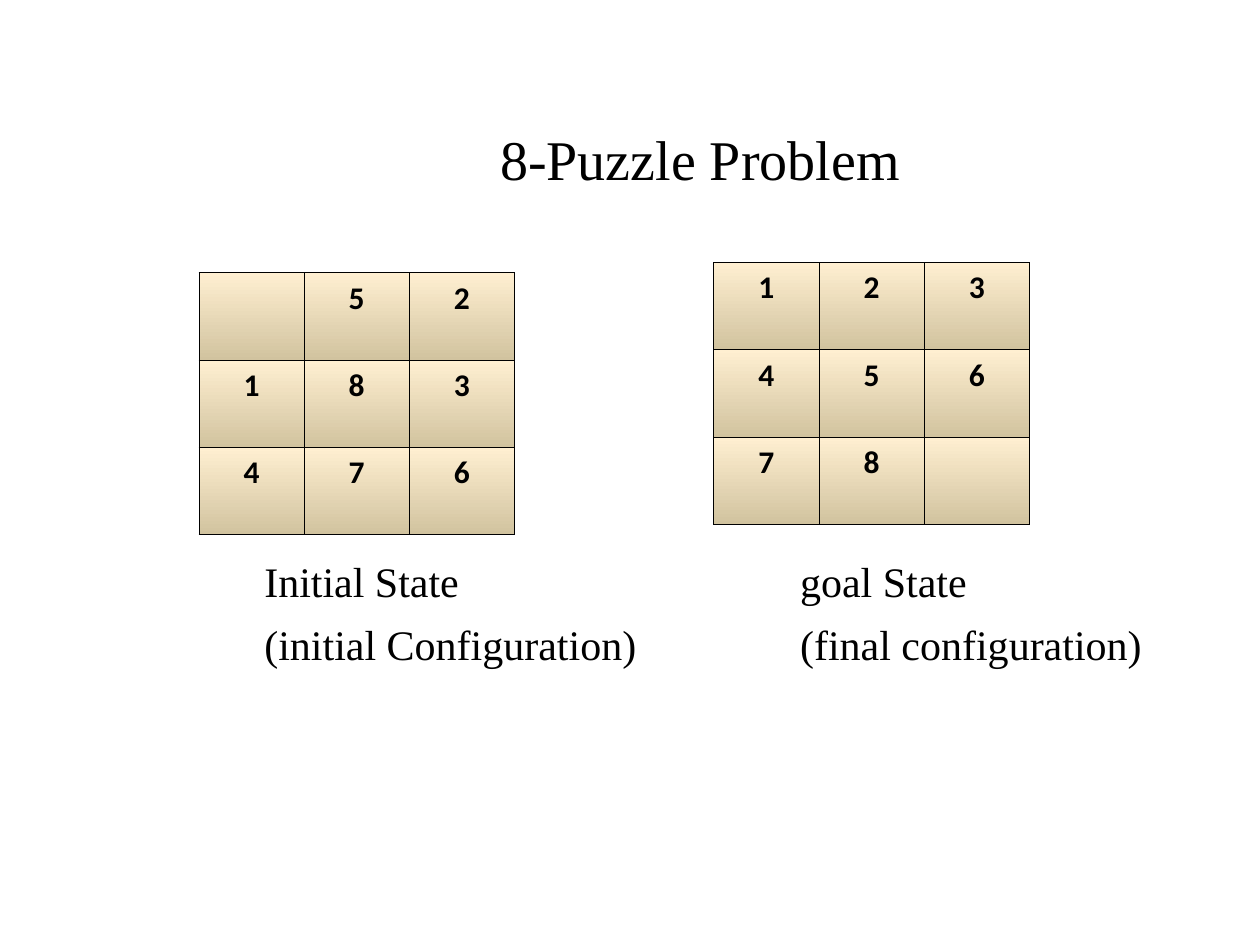
"""Build the 8-puzzle slide with its initial and goal boards."""
from dataclasses import dataclass

from lxml.etree import fromstring
from pptx import Presentation
from pptx.dml.color import RGBColor
from pptx.enum.text import MSO_ANCHOR, MSO_AUTO_SIZE, PP_ALIGN
from pptx.oxml.ns import nsdecls
from pptx.slide import Slide
from pptx.table import _Cell
from pptx.text.text import TextFrame
from pptx.util import Cm, Pt


@dataclass(frozen=True)
class Theme:
    """Colours, fonts and type sizes of the slide."""
    ink: str = "000000"
    tile_top: str = "FFEFD1"
    tile_bottom: str = "D1C39F"
    text_font: str = "Times New Roman"
    tile_font: str = "Calibri"
    title_size: float = 32
    caption_size: float = 24
    tile_size: float = 18
    caption_gap: float = 7
    border: float = 0.45


@dataclass(frozen=True)
class Board:
    """One puzzle state, with its caption; lengths in centimetres."""
    left: float
    top: float
    rows: tuple[str, ...]
    caption_left: float
    caption: tuple[str, ...]


THEME = Theme()
TILE_WIDTH, TILE_HEIGHT = 2.12, 1.76
CAPTION_TOP, CAPTION_WIDTH, CAPTION_HEIGHT = 11.2, 8.5, 2.4
BOARDS = (
    Board(4.01, 5.5, (" 52", "183", "476"), 5.33,
          ("Initial State", "(initial Configuration)")),
    Board(14.39, 5.29, ("123", "456", "78 "), 16.13,
          ("goal State", "(final configuration)")),
)


def apply(target: object, values: dict) -> None:
    """Set every named attribute on the target."""
    for name, value in values.items():
        setattr(target, name, value)


def write_lines(frame: TextFrame, lines: tuple[str, ...], font: str, size: float,
                bold: bool = False, align: PP_ALIGN = PP_ALIGN.LEFT,
                gap: float = 0) -> None:
    """Write one formatted paragraph per line."""
    for index, line in enumerate(lines):
        para = frame.add_paragraph() if index else frame.paragraphs[0]
        apply(para, {"alignment": align, "space_after": Pt(gap)})
        span = para.add_run()
        span.text = line
        apply(span.font, {"name": font, "size": Pt(size), "bold": bold})
        span.font.color.rgb = RGBColor.from_string(THEME.ink)


def format_frame(frame: TextFrame) -> None:
    """Give a text frame zero margins, wrapping and a top anchor."""
    apply(frame, {
        "margin_left": 0, "margin_right": 0, "margin_top": 0, "margin_bottom": 0,
        "word_wrap": True, "auto_size": MSO_AUTO_SIZE.NONE,
        "vertical_anchor": MSO_ANCHOR.TOP,
    })


def format_tile(cell: _Cell) -> None:
    """Give a cell its gradient fill and thin borders."""
    cell.fill.gradient()
    cell.fill.gradient_angle = 270
    for stop, color in zip(cell.fill.gradient_stops, (THEME.tile_top, THEME.tile_bottom)):
        stop.color.rgb = RGBColor.from_string(color)
    properties = cell._tc.get_or_add_tcPr()
    for index, side in enumerate("LRTB"):
        properties.insert(index, fromstring(
            f'<a:ln{side} {nsdecls("a")} w="{int(Pt(THEME.border))}"><a:solidFill>'
            f'<a:srgbClr val="{THEME.ink}"/></a:solidFill></a:ln{side}>'))


def add_title(page: Slide, text: str) -> None:
    """Place and write the slide title."""
    title = page.shapes.title
    apply(title, {"left": Cm(10.08), "top": Cm(2.5), "width": Cm(11), "height": Cm(1.4)})
    format_frame(title.text_frame)
    write_lines(title.text_frame, (text,), THEME.text_font, THEME.title_size)


def add_board(page: Slide, board: Board) -> None:
    """Draw one board as a table, with its caption below."""
    count = len(board.rows)
    table = page.shapes.add_table(
        count, count, Cm(board.left), Cm(board.top),
        Cm(count * TILE_WIDTH), Cm(count * TILE_HEIGHT)).table
    apply(table, {"first_row": False, "horz_banding": False})
    for row, digits in enumerate(board.rows):
        table.rows[row].height = Cm(TILE_HEIGHT)
        table.columns[row].width = Cm(TILE_WIDTH)
        for column, digit in enumerate(digits):
            cell = table.cell(row, column)
            format_tile(cell)
            if digit.strip():
                write_lines(cell.text_frame, (digit,), THEME.tile_font,
                            THEME.tile_size, True, PP_ALIGN.CENTER)
    box = page.shapes.add_textbox(Cm(board.caption_left), Cm(CAPTION_TOP),
                                  Cm(CAPTION_WIDTH), Cm(CAPTION_HEIGHT))
    format_frame(box.text_frame)
    write_lines(box.text_frame, board.caption, THEME.text_font,
                THEME.caption_size, gap=THEME.caption_gap)


def main() -> None:
    """Build and save the deck."""
    deck = Presentation()
    apply(deck, {"slide_width": Cm(25.4), "slide_height": Cm(19.05)})
    page = deck.slides.add_slide(deck.slide_layouts.get_by_name("Title Only"))
    add_title(page, "8-Puzzle Problem")
    for board in BOARDS:
        add_board(page, board)
    deck.save("out.pptx")


main()
